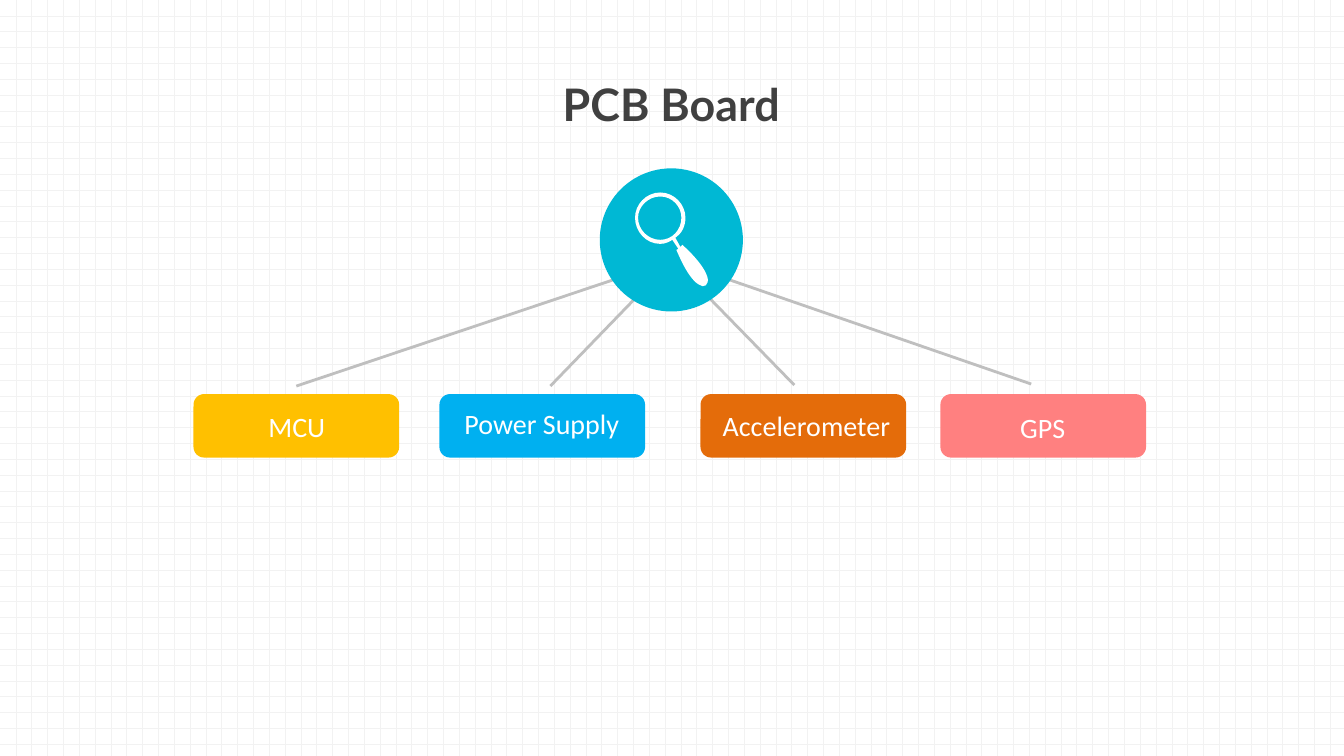
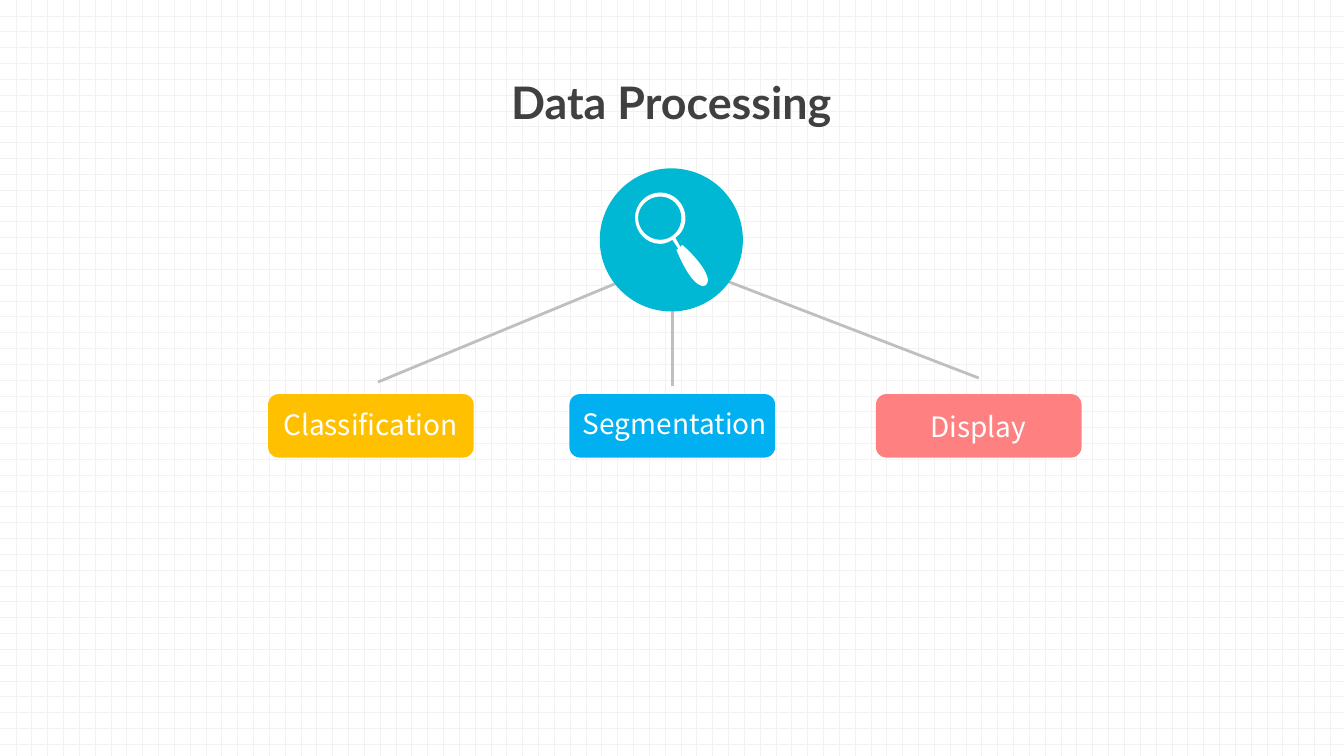
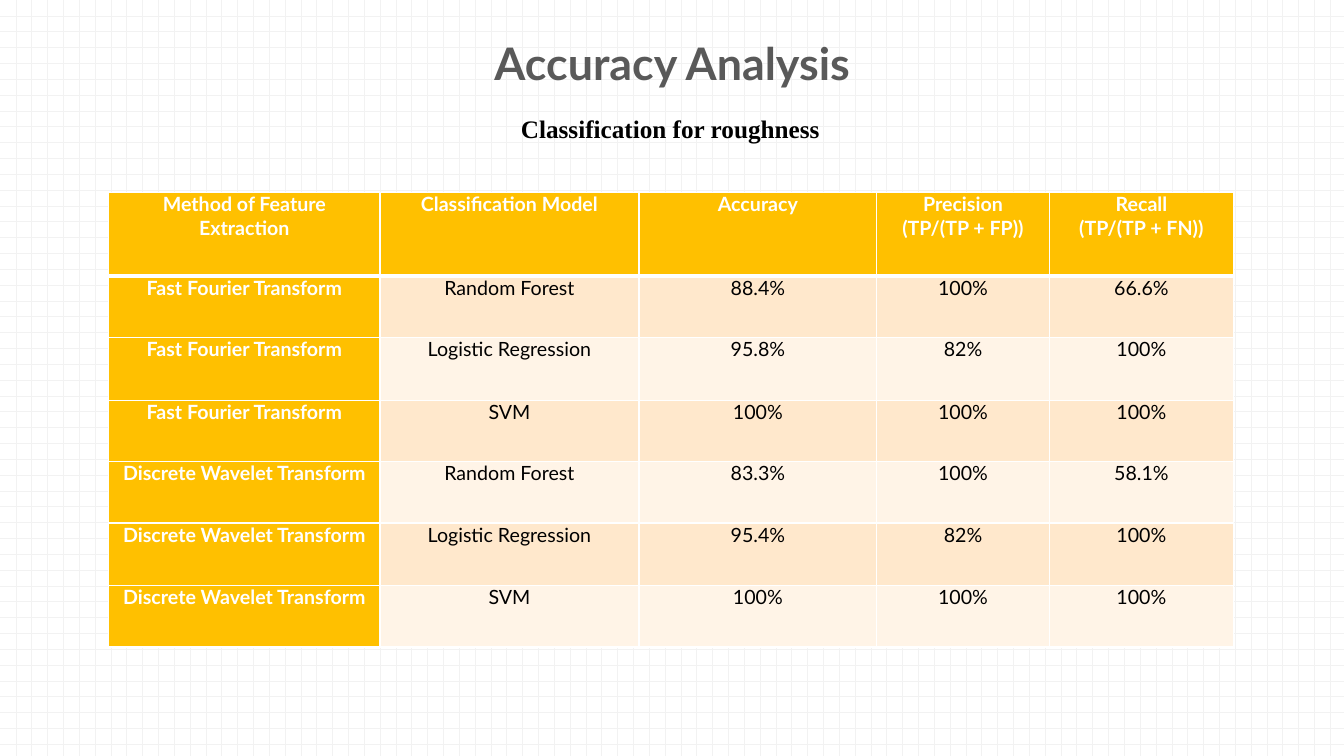
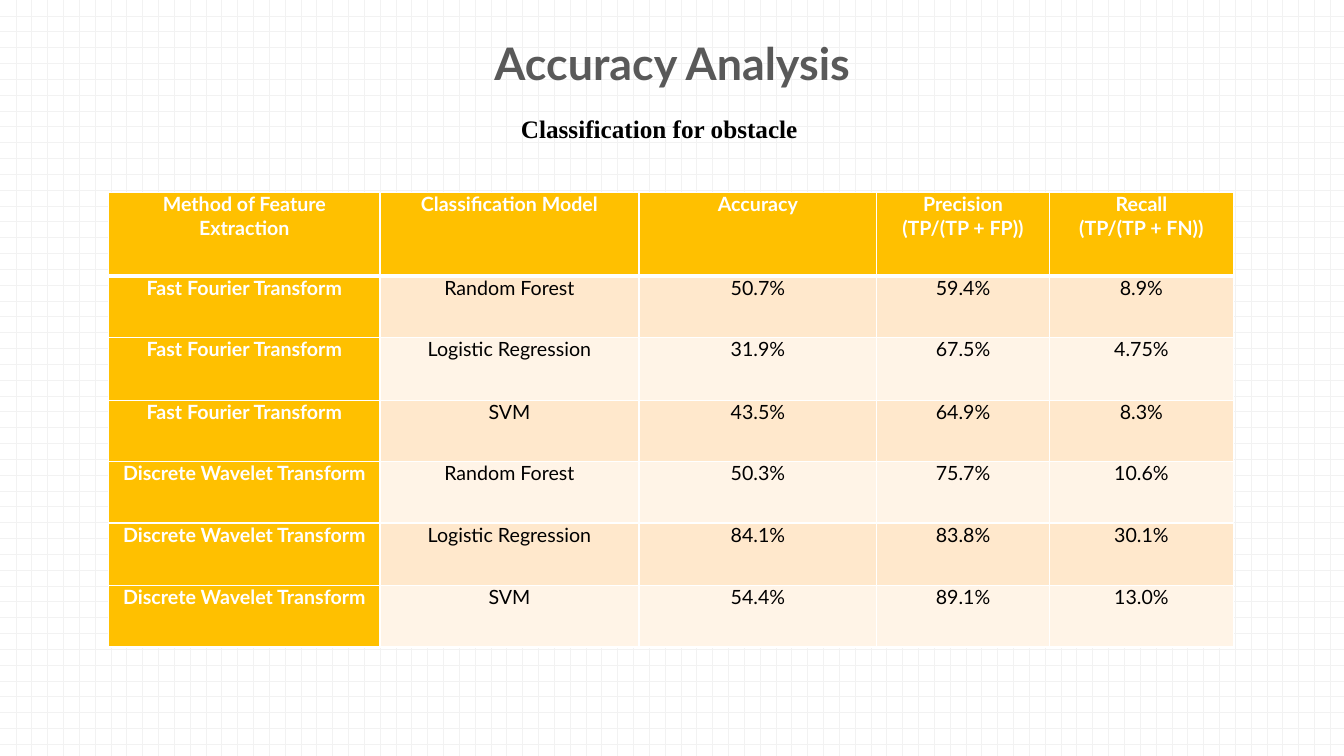
from itertools import product

from lxml import etree
from pptx import Presentation
from pptx.dml.color import RGBColor
from pptx.enum.dml import MSO_PATTERN
from pptx.enum.shapes import MSO_CONNECTOR, MSO_SHAPE
from pptx.enum.text import MSO_ANCHOR, PP_ALIGN
from pptx.oxml.ns import qn
from pptx.util import Pt

PX = 9144  # 100 px to the inch
CENTER, LEFT = PP_ALIGN.CENTER, PP_ALIGN.LEFT
TOP, MIDDLE = MSO_ANCHOR.TOP, MSO_ANCHOR.MIDDLE
OVAL, ROUND = MSO_SHAPE.OVAL, MSO_SHAPE.ROUNDED_RECTANGLE
LINE = MSO_CONNECTOR.STRAIGHT
GRID = MSO_PATTERN.DOTTED_GRID

# Colours
WHITE = RGBColor(0xFF, 0xFF, 0xFF)
BLACK = RGBColor(0, 0, 0)
PALE = RGBColor(0xF2, 0xF2, 0xF2)
GRAY = RGBColor(0xBF, 0xBF, 0xBF)
DARK = RGBColor(0x40, 0x40, 0x40)
SLATE = RGBColor(0x59, 0x59, 0x59)
TEAL = RGBColor(0x00, 0xB8, 0xD4)
GOLD = RGBColor(0xFF, 0xC0, 0x00)
BLUE = RGBColor(0x00, 0xB0, 0xF0)
RUST = RGBColor(0xE4, 0x6C, 0x0A)
PINK = RGBColor(0xFF, 0x80, 0x80)
PEACH = RGBColor(0xFF, 0xE8, 0xCC)
CREAM = RGBColor(0xFF, 0xF4, 0xE7)

# Text formats
TITLE = {"name": "Lato", "size": Pt(32), "bold": True}
SUB = {"name": "Times New Roman", "size": Pt(18), "bold": True}
HEAD = {"name": "Lato", "size": Pt(14), "bold": True}
BODY = {**HEAD, "bold": False}


def fill_text(frame, text, form, ink, align=CENTER):
    frame.text = text
    for para in frame.paragraphs:
        para.alignment = align
        for key, value in form.items():
            setattr(para.font, key, value)
        para.font.color.rgb = ink


def add_text(slide, rect, text, form, ink, align=CENTER, anchor=TOP):
    frame = slide.shapes.add_textbox(*[n * PX for n in rect]).text_frame
    frame.word_wrap = True
    frame.vertical_anchor = anchor
    fill_text(frame, text, form, ink, align)
    return frame


deck = Presentation()
deck.slide_width, deck.slide_height = 4000 * PX // 3, 750 * PX
blank = deck.slide_layouts[6]

# Shared grid background
back = deck.slide_master.background.fill
back.patterned()
back.pattern = GRID
back.fore_color.rgb = PALE
back.back_color.rgb = WHITE

# Magnifier outline: pairs are corners, sixes are curves
LENS = [
    [(655, 195), (643, 195, 633, 205, 633, 216), (633, 228, 643, 238, 655, 238),
     (667, 238, 676, 228, 676, 216), (676, 205, 667, 195, 655, 195)],
    [(655, 191), (669, 191, 680, 203, 680, 216), (680, 225, 676, 232, 670, 236),
     (675, 245), (677, 243), (697, 261, 704, 275, 702, 280),
     (702, 283, 699, 284, 697, 284), (685, 281, 675, 257, 671, 248),
     (673, 247), (667, 238), (664, 240, 660, 242, 655, 242),
     (641, 242, 630, 230, 630, 216), (630, 203, 641, 191, 655, 191)],
]
inner, outer = LENS
EDGE_X, EDGE_Y = 630, 191  # left and top of the outline

# Tree slides: title, title top, label font, then per branch
# the line end, box left, fill, label and label rectangle
TREES = [
    ("PCB Board", 77, "Calibri", [
        ((294, 383), 192, GOLD, "MCU", (216, 401, 157, 44)),
        ((546, 383), 436, BLUE, "Power Supply", (398, 398, 279, 77)),
        ((788, 382), 695, RUST, "Accelerometer", (679, 400, 242, 44)),
        ((1023, 381), 933, PINK, "GPS", (956, 402, 157, 44)),
    ]),
    ("Data Processing", 75, "Noto Sans CJK SC", [
        ((375, 379), 266, GOLD, "Classification", (270, 399, 195, 77)),
        ((667, 383), 565, BLUE, "Segmentation", (565, 398, 209, 44)),
        ((971, 375), 869, PINK, "Display", (892, 401, 157, 44)),
    ]),
]
for title, top, face, limbs in TREES:
    slide = deck.slides.add_slide(blank)

    # Lines from the hub
    for (x, y), *rest in limbs:
        line = slide.shapes.add_connector(LINE, 667 * PX, 258 * PX, x * PX, y * PX)
        line.line.color.rgb = GRAY
        line.line.width = Pt(2)
        etree.SubElement(line._element.spPr, qn("a:effectLst"))

    # Hub with magnifier
    hub = slide.shapes.add_group_shape().shapes
    disc = hub.add_shape(OVAL, 595 * PX, 167 * PX, 142 * PX, 142 * PX)
    pen = hub.build_freeform(*inner[0], scale=PX)
    pen.add_line_segments([part[-2:] for part in inner[1:]], close=True)
    pen.move_to(*outer[0])
    pen.add_line_segments([part[-2:] for part in outer[1:]], close=True)
    lens = pen.convert_to_shape()
    shapes = [(disc, TEAL), (lens, WHITE)]

    # Bend the segments that have control points
    bends = list(lens._element.iter(qn("a:lnTo")))
    for bend, part in zip(bends, inner[1:] + outer[1:]):
        if len(part) == 6:
            bend.tag = qn("a:cubicBezTo")
            for spot in (0, 1):
                x, y = part[2 * spot:2 * spot + 2]
                bend.insert(spot, etree.Element(
                    qn("a:pt"), x=str(x - EDGE_X), y=str(y - EDGE_Y)))

    frame = add_text(slide, (340, top, 652, 58), title, TITLE, DARK, anchor=MIDDLE)
    frame.paragraphs[0].line_spacing = 0.9

    # Boxes and labels
    form = {"name": face, "size": Pt(20)}
    for end, left, color, label, rect in limbs:
        box = slide.shapes.add_shape(ROUND, left * PX, 391 * PX, 204 * PX, 63 * PX)
        shapes.append((box, color))
        add_text(slide, rect, label, form, WHITE)

    for shape, color in shapes:
        shape.shadow.inherit = False
        shape.fill.solid()
        shape.fill.fore_color.rgb = color
        shape.line.fill.background()

# Table slides
COLS = [269, 257, 236, 171, 183]
ROWS = [83] + [61, 62, 61] * 2
TOPS = ["Method of Feature Extraction", "Classification Model", "Accuracy",
        "Precision\n(TP/(TP + FP))", "Recall\n(TP/(TP + FN))"]
PAIRS = list(product(["Fast Fourier Transform", "Discrete Wavelet Transform"],
                     ["Random Forest", "Logistic Regression", "SVM"]))
SCORES = {
    "Classification for roughness": [
        ("88.4%", "100%", "66.6%"), ("95.8%", "82%", "100%"),
        ("100%", "100%", "100%"), ("83.3%", "100%", "58.1%"),
        ("95.4%", "82%", "100%"), ("100%", "100%", "100%")],
    "Classification for obstacle": [
        ("50.7%", "59.4%", "8.9%"), ("31.9%", "67.5%", "4.75%"),
        ("43.5%", "64.9%", "8.3%"), ("50.3%", "75.7%", "10.6%"),
        ("84.1%", "83.8%", "30.1%"), ("54.4%", "89.1%", "13.0%")],
}
INSETS = {"margin_left": 7 * PX, "margin_right": 7 * PX,
          "margin_top": 0, "margin_bottom": 0}

for name, scores in SCORES.items():
    slide = deck.slides.add_slide(blank)
    table = slide.shapes.add_table(len(ROWS), len(COLS), 108 * PX, 191 * PX,
                                   sum(COLS) * PX, sum(ROWS) * PX).table
    for col, wide in zip(table.columns, COLS):
        col.width = wide * PX
    for row, high in zip(table.rows, ROWS):
        row.height = high * PX

    grid = [TOPS] + [pair + score for pair, score in zip(PAIRS, scores)]
    for r, texts in enumerate(grid):
        for c, text in enumerate(texts):
            cell = table.cell(r, c)
            for key, value in INSETS.items():
                setattr(cell, key, value)

            # White borders, thick under the header
            props = cell._tc.get_or_add_tcPr()
            for side in "LRTB":
                thick = (r, side) in [(0, "B"), (1, "T")]
                edge = etree.SubElement(props, qn("a:ln" + side),
                                        w=str(Pt(3 if thick else 1)))
                paint = etree.SubElement(edge, qn("a:solidFill"))
                etree.SubElement(paint, qn("a:srgbClr"), val=str(WHITE))

            lead = r == 0 or c == 0
            cell.fill.solid()
            cell.fill.fore_color.rgb = GOLD if lead else PEACH if r % 2 else CREAM
            fill_text(cell.text_frame, text, HEAD if lead else BODY,
                      WHITE if lead else BLACK)

    # Title and subtitle
    frame = add_text(slide, (341, 36, 652, 58), "Accuracy Analysis", TITLE, SLATE,
                     anchor=MIDDLE)
    frame.paragraphs[0].line_spacing = 0.9
    add_text(slide, (507, 108, 667, 40), name, SUB, BLACK, LEFT)

deck.save("out.pptx")
